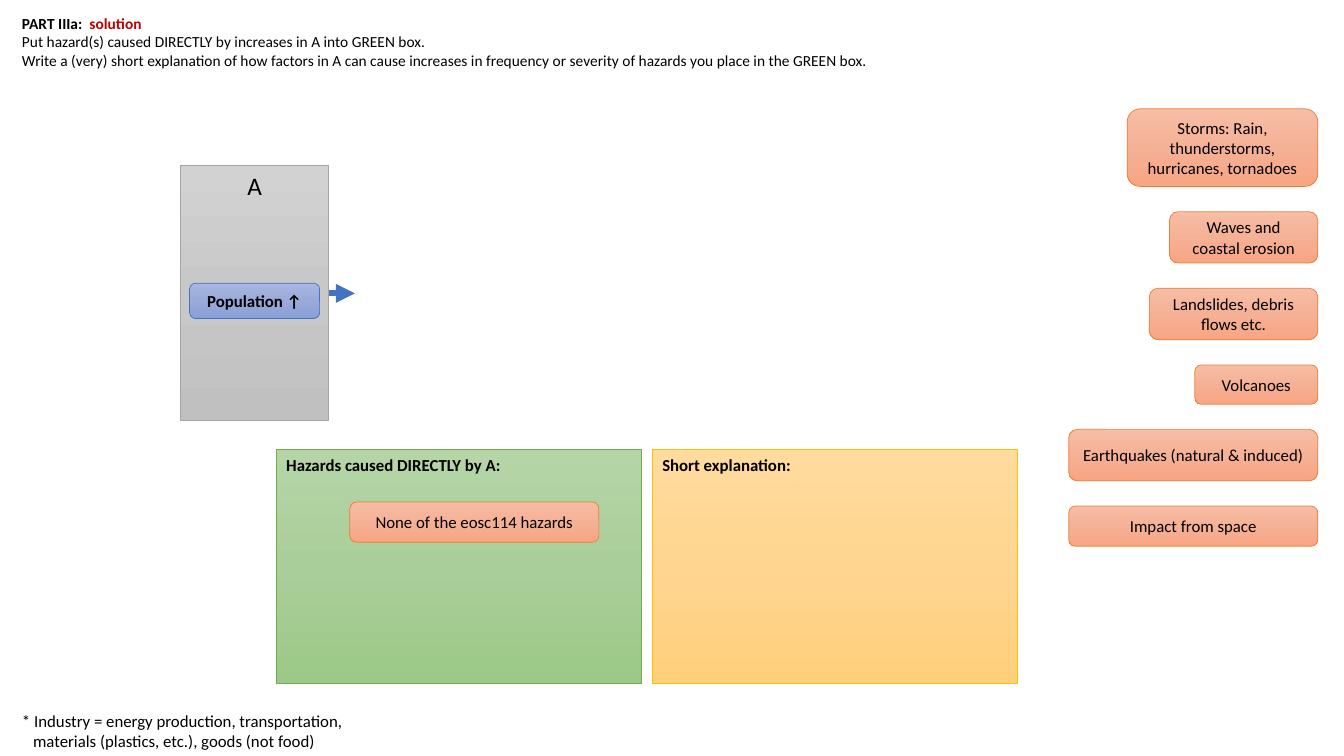
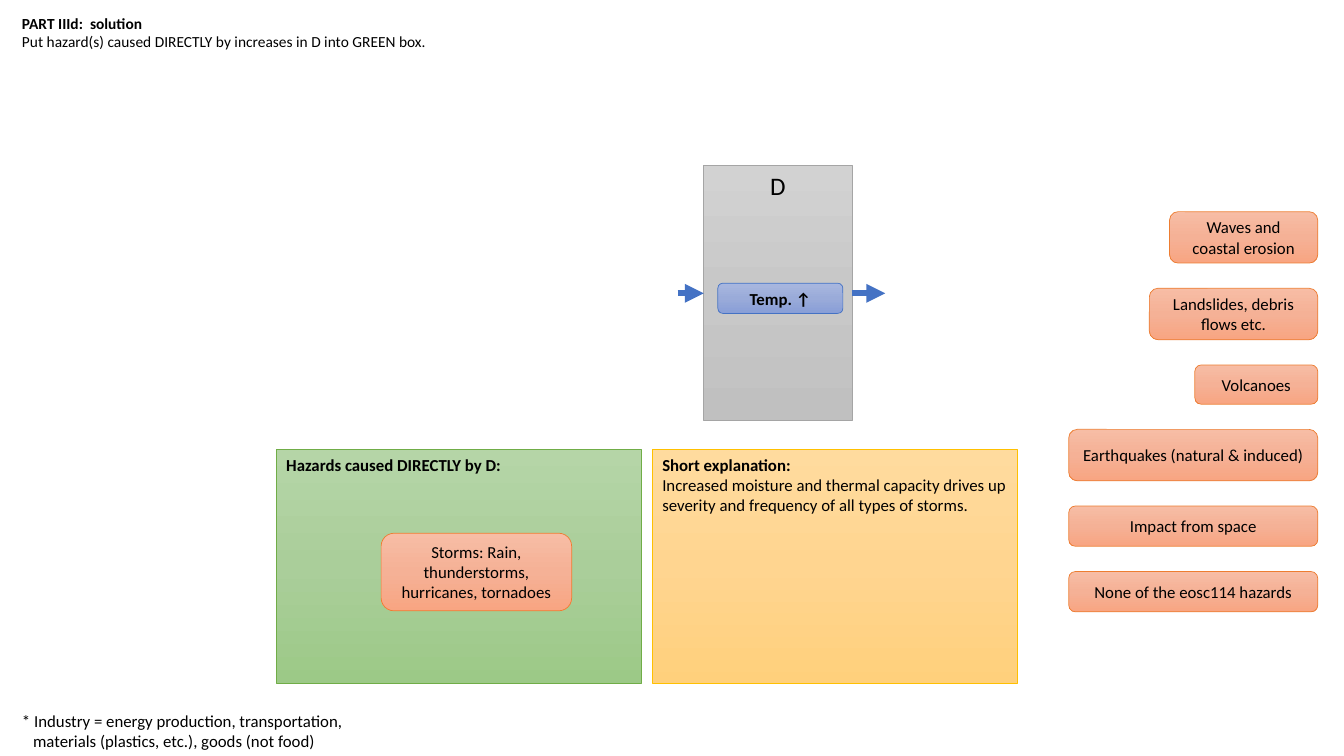
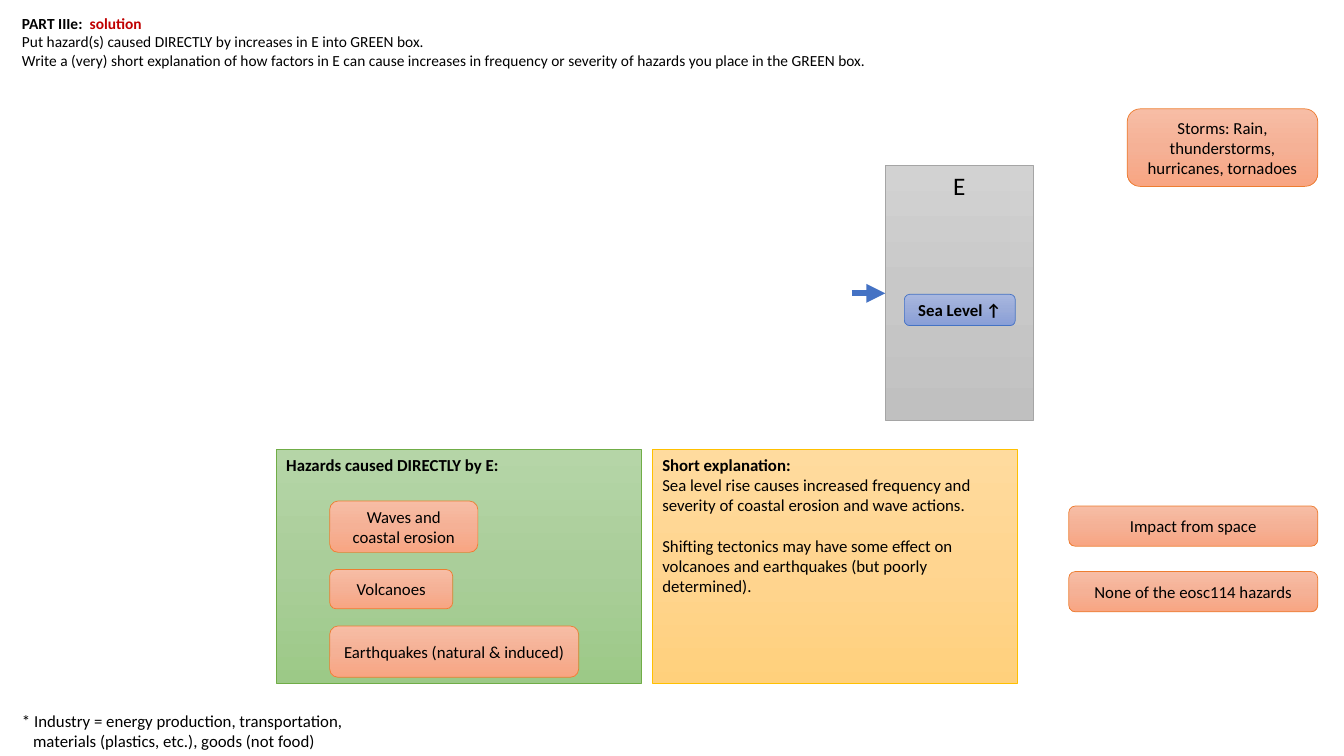
from copy import deepcopy
from dataclasses import dataclass
from itertools import accumulate

from lxml.etree import SubElement
from pptx import Presentation
from pptx.dml.color import RGBColor
from pptx.enum.shapes import MSO_CONNECTOR, MSO_SHAPE
from pptx.enum.text import MSO_ANCHOR, MSO_AUTO_SIZE, PP_ALIGN
from pptx.oxml.ns import qn
from pptx.util import Inches, Pt

FONT = "Calibri"
BLACK = RGBColor(0x00, 0x00, 0x00)
RED = RGBColor(0xC0, 0x00, 0x00)
BLUE_LINE = RGBColor(0x44, 0x72, 0xC4)


@dataclass
class Palette:
    stops: tuple
    line: RGBColor


GRAY = Palette((RGBColor(0xD2, 0xD2, 0xD2), RGBColor(0xC8, 0xC8, 0xC8),
                RGBColor(0xC0, 0xC0, 0xC0)), RGBColor(0xA5, 0xA5, 0xA5))
BLUE = Palette((RGBColor(0xA8, 0xB7, 0xDF), RGBColor(0x9A, 0xAB, 0xD9),
                RGBColor(0x88, 0x9E, 0xD7)), BLUE_LINE)
GREEN = Palette((RGBColor(0xB5, 0xD5, 0xA7), RGBColor(0xAA, 0xCE, 0x9A),
                 RGBColor(0x9C, 0xC9, 0x87)), RGBColor(0x70, 0xAD, 0x47))
GOLD = Palette((RGBColor(0xFF, 0xDB, 0x9E), RGBColor(0xFF, 0xD5, 0x90),
                RGBColor(0xFF, 0xD0, 0x7C)), RGBColor(0xFF, 0xC0, 0x00))
ORANGE = Palette((RGBColor(0xF7, 0xBD, 0xA5), RGBColor(0xF5, 0xB1, 0x96),
                  RGBColor(0xF8, 0xA5, 0x82)), RGBColor(0xED, 0x7D, 0x31))

# Factor columns A to E and the gaps that the arrows bridge
FACTORS = "ABCDE"
FACTOR_TOP, FACTOR_WIDTH, FACTOR_HEIGHT = 1.64, 1.47, 2.53
FACTOR_GAPS = (0.26, 0.26, 0.26, 0.33)
FACTOR_LEFTS = list(accumulate((FACTOR_WIDTH + gap for gap in FACTOR_GAPS), initial=1.79))
ARROW_Y = 2.91

# Answer boxes
ANSWER_LEFT, ANSWER_TOP, ANSWER_WIDTH, ANSWER_HEIGHT = 2.74, 4.46, 3.62, 2.32
ANSWER_PITCH = 3.73

# Hazard choices, stacked against the right edge
CHOICE_RIGHT, CHOICE_TOP, CHOICE_GAP = 13.07, 1.08, 0.25
ANSWER_GAP = 0.17
STORMS = "Storms: Rain, thunderstorms, hurricanes, tornadoes"
WAVES = "Waves and coastal erosion"
LANDSLIDES = "Landslides, debris flows etc."
VOLCANOES = "Volcanoes"
EARTHQUAKES = "Earthquakes (natural & induced)"
IMPACT = "Impact from space"
NONE = "None of the eosc114 hazards"
HAZARD_SIZES = {
    STORMS: (1.89, 0.77),
    WAVES: (1.47, 0.51),
    LANDSLIDES: (1.67, 0.51),
    VOLCANOES: (1.22, 0.39),
    EARTHQUAKES: (2.47, 0.51),
    IMPACT: (2.47, 0.4),
    NONE: (2.47, 0.4),
}


@dataclass
class Part:
    factor: str
    cause: str
    cause_box: tuple
    answers: tuple
    answers_at: tuple
    explanation: tuple = ()
    unused: tuple = ()
    asks_why: bool = True
    solution_color: RGBColor = RED
    header_size: tuple = (9.04, 0.66)


PARTS = (
    Part("A", "Population ↑", (1.88, 2.81, 1.29, 0.35), (NONE,), (3.47, 4.98)),
    Part("D", "Temp. ↑", (7.12, 2.81, 1.24, 0.3), (STORMS,), (3.78, 5.29),
         explanation=("Increased moisture and thermal capacity drives up severity "
                      "and frequency of all types of storms.",),
         asks_why=False, solution_color=BLACK, header_size=(4.94, 0.47)),
    Part("E", "Sea Level ↑", (8.97, 2.92, 1.1, 0.31),
         (WAVES, VOLCANOES, EARTHQUAKES), (3.27, 4.97),
         explanation=("Sea level rise causes increased frequency and severity of "
                      "coastal erosion and wave actions.",
                      "Shifting tectonics may have some effect on volcanoes and "
                      "earthquakes (but poorly determined)."),
         unused=(LANDSLIDES,), header_size=(9.86, 0.66)),
)


def inches(box):
    return [Inches(length) for length in box]


def fill_gradient(shape, colors):
    """Fill from top to bottom with three evenly spaced colours."""
    shape.fill.gradient()
    shape.fill.gradient_angle = 270
    stop_list = shape._element.spPr.find(qn("a:gradFill")).find(qn("a:gsLst"))
    stop_list.insert(1, deepcopy(stop_list[0]))
    for index, (stop, color) in enumerate(zip(shape.fill.gradient_stops, colors)):
        stop.position = index / 2
        stop.color.rgb = color


def write(frame, lines, size=12, bold_first=False, align=PP_ALIGN.LEFT):
    frame.word_wrap = True
    for index, line in enumerate(lines):
        paragraph = frame.add_paragraph() if index else frame.paragraphs[0]
        paragraph.text = line
        paragraph.alignment = align
        paragraph.font.name = FONT
        paragraph.font.size = Pt(size)
        paragraph.font.bold = bold_first and index == 0
        paragraph.font.color.rgb = BLACK


def add_box(slide, box, palette, lines, preset=MSO_SHAPE.RECTANGLE,
            anchor=MSO_ANCHOR.TOP, **text_style):
    shape = slide.shapes.add_shape(preset, *inches(box))
    shape.shadow.inherit = False
    fill_gradient(shape, palette.stops)
    shape.line.color.rgb = palette.line
    shape.line.width = Pt(0.5)
    shape.text_frame.vertical_anchor = anchor
    write(shape.text_frame, lines, **text_style)


def add_chip(slide, box, palette, text, bold=False):
    add_box(slide, box, palette, [text], MSO_SHAPE.ROUNDED_RECTANGLE,
            MSO_ANCHOR.MIDDLE, bold_first=bold, align=PP_ALIGN.CENTER)


def add_text(slide, box, lines, **text_style):
    frame = slide.shapes.add_textbox(*inches(box)).text_frame
    write(frame, lines, **text_style)
    frame.auto_size = MSO_AUTO_SIZE.SHAPE_TO_FIT_TEXT
    return frame


def add_arrow(slide, left, right):
    arrow = slide.shapes.add_connector(
        MSO_CONNECTOR.STRAIGHT, *inches((left, ARROW_Y, right, ARROW_Y)))
    arrow.line.color.rgb = BLUE_LINE
    arrow.line.width = Pt(4.5)
    SubElement(arrow.line._get_or_add_ln(), qn("a:tailEnd"), type="triangle")
    SubElement(arrow._element.spPr, qn("a:effectLst"))


def add_header(slide, part):
    lines = [f"PART III{part.factor.lower()}:  ",
             f"Put hazard(s) caused DIRECTLY by increases in {part.factor} into GREEN box."]
    if part.asks_why:
        lines.append(f"Write a (very) short explanation of how factors in {part.factor} can "
                     "cause increases in frequency or severity of hazards you place in "
                     "the GREEN box.")
    frame = add_text(slide, (0.12, 0.09, *part.header_size), lines, size=11, bold_first=True)
    solution = frame.paragraphs[0].add_run()
    solution.text = "solution"
    solution.font.color.rgb = part.solution_color


def add_footnote(slide):
    frame = add_text(slide, (0.12, 7, 3.5, 0.5),
                     ["* Industry = energy production, transportation,\v"
                      "materials (plastics, etc.), goods (not food)"])
    properties = frame.paragraphs[0]._p.get_or_add_pPr()
    properties.set("marL", str(Inches(0.11)))
    properties.set("indent", str(-Inches(0.11)))


def add_factor(slide, part):
    """Draw the factor column, its cause and the arrows to its neighbours."""
    index = FACTORS.index(part.factor)
    left = FACTOR_LEFTS[index]
    right = left + FACTOR_WIDTH
    add_box(slide, (left, FACTOR_TOP, FACTOR_WIDTH, FACTOR_HEIGHT), GRAY,
            [part.factor], size=18, align=PP_ALIGN.CENTER)
    if index > 0:
        add_arrow(slide, left - FACTOR_GAPS[index - 1], left)
    if index < len(FACTOR_GAPS):
        add_arrow(slide, right, right + FACTOR_GAPS[index])
    add_chip(slide, part.cause_box, BLUE, part.cause, bold=True)


def add_answer_boxes(slide, part):
    contents = ((GREEN, [f"Hazards caused DIRECTLY by {part.factor}:"]),
                (GOLD, ["Short explanation:", *part.explanation]))
    for column, (palette, lines) in enumerate(contents):
        left = ANSWER_LEFT + column * ANSWER_PITCH
        add_box(slide, (left, ANSWER_TOP, ANSWER_WIDTH, ANSWER_HEIGHT),
                palette, lines, bold_first=True)
    for paragraph in slide.shapes[-1].text_frame.paragraphs[2:]:
        paragraph.space_before = Pt(14.6)


def add_hazards(slide, part):
    """Stack the answers in the green box and the other hazards at the right."""
    top = CHOICE_TOP
    for hazard, (width, height) in HAZARD_SIZES.items():
        if hazard not in part.answers + part.unused:
            add_chip(slide, (CHOICE_RIGHT - width, top, width, height), ORANGE, hazard)
        top += height + CHOICE_GAP
    left, top = part.answers_at
    for hazard in part.answers:
        width, height = HAZARD_SIZES[hazard]
        add_chip(slide, (left, top, width, height), ORANGE, hazard)
        top += height + ANSWER_GAP


def main():
    presentation = Presentation()
    presentation.slide_width, presentation.slide_height = inches((13.33, 7.5))
    for part in PARTS:
        slide = presentation.slides.add_slide(presentation.slide_layouts[6])
        add_header(slide, part)
        add_factor(slide, part)
        add_answer_boxes(slide, part)
        add_hazards(slide, part)
        add_footnote(slide)
    presentation.save("out.pptx")


if __name__ == "__main__":
    main()
